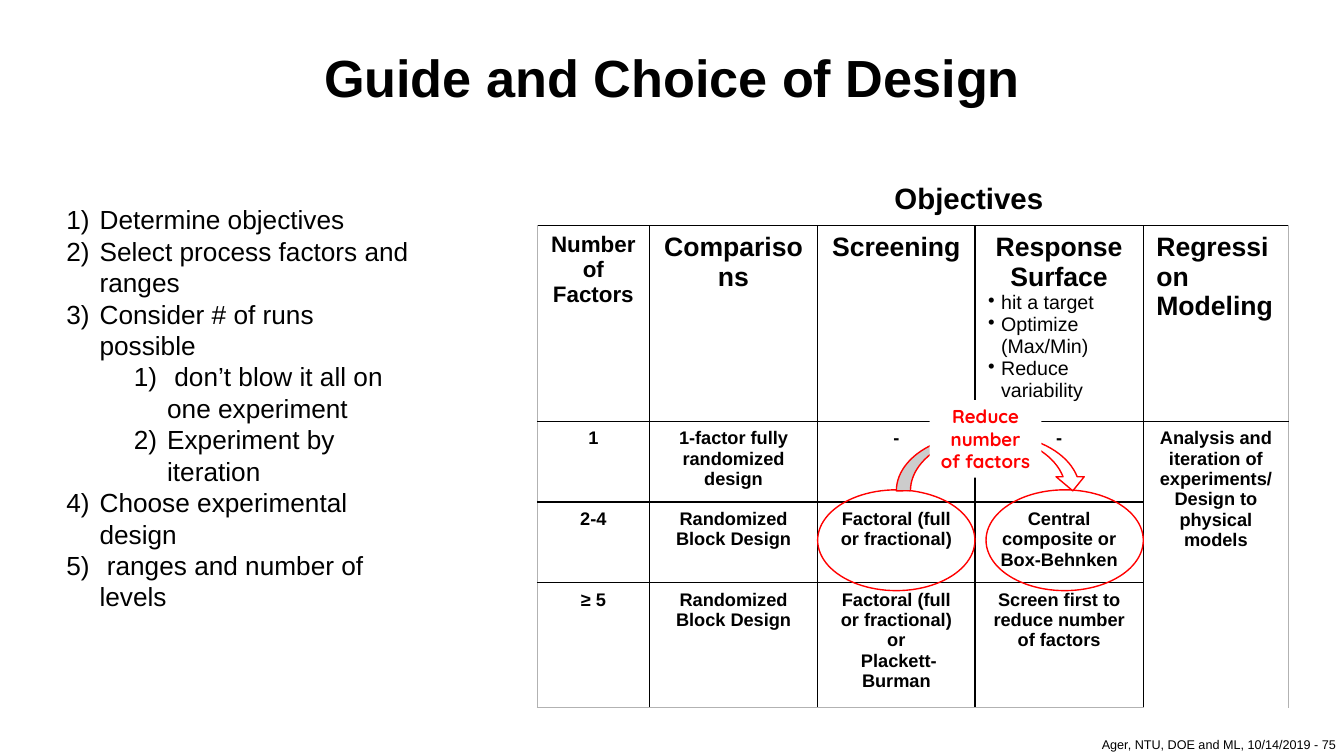
from dataclasses import dataclass

from lxml import etree
from pptx import Presentation
from pptx import util as u
from pptx.dml.color import RGBColor
from pptx.enum import shapes, text
from pptx.oxml import ns

Inches, Pt = u.Inches, u.Pt
CENTER, MIDDLE = text.PP_ALIGN.CENTER, text.MSO_ANCHOR.MIDDLE


@dataclass(frozen=True)
class Theme:
    font: str = "Arial"
    label_font: str = "Quicksand"
    black: str = "000000"
    white: str = "FFFFFF"
    red: str = "FF0000"
    grey: str = "B2B2B2"
    title: float = 37.3
    objectives: float = 21
    heading: float = 19
    steps: float = 18.7
    factors: float = 16
    detail: float = 14
    label: float = 13.3
    body: float = 13
    footer: float = 9


T = Theme()
PAD = (0.13, 0.07)

STEPS = [
    (0, "Determine objectives"),
    (0, "Select process factors and ranges"),
    (0, "Consider # of runs possible"),
    (1, " don’t blow it all on one experiment"),
    (1, "Experiment by iteration"),
    (0, "Choose experimental design"),
    (0, " ranges and number of levels"),
]
COLS = [1.11, 1.67, 1.56, 1.67, 1.44]
ROWS = [0.49, 1.92, 0.8, 0.8, 1.24]
HEADINGS = ["Number of Factors", "Comparisons", "Screening",
            "Response Surface", "Regression Modeling"]
RESPONSE_GOALS = ["hit a target", "Optimize (Max/Min)", "Reduce variability"]
DESIGNS = [
    ["1", "1-factor fully randomized design", "-", "-",
     "Analysis and iteration of experiments/ Design to physical models"],
    ["2-4", "Randomized Block Design", "Factoral (full or fractional)",
     "Central composite or Box-Behnken"],
    ["≥ 5", "Randomized Block Design",
     "Factoral (full or fractional)\nor\n Plackett-Burman",
     "Screen first to reduce number of factors"],
]


def rgb(color):
    return RGBColor.from_string(color)


def set_bullet(p, indent, hang, char=None, number=None):
    pPr = p._p.get_or_add_pPr()
    pPr.set("marL", str(Inches(indent)))
    pPr.set("indent", str(-Inches(hang)))
    if number:
        etree.SubElement(pPr, ns.qn("a:buAutoNum"), type=number)
    else:
        etree.SubElement(pPr, ns.qn("a:buChar"), char=char)


def add_text(tf, words, size=T.body, bold=False, color=T.black, font=T.font,
             align=None, spacing=None, level=0, **bullet):
    """Write each line of words as one paragraph, after any text already there."""
    for line in words.split("\n"):
        p = tf.add_paragraph() if tf.text else tf.paragraphs[0]
        p.level = level
        if align is not None:
            p.alignment = align
        if spacing:
            p.line_spacing = spacing
        if bullet:
            set_bullet(p, **bullet)
        r = p.add_run()
        r.text = line
        r.font.size, r.font.bold, r.font.name = Pt(size), bold, font
        r.font.color.rgb = rgb(color)


def add_box(s, x, y, w, h, wrap=True):
    tf = s.shapes.add_textbox(*map(Inches, (x, y, w, h))).text_frame
    tf.word_wrap = wrap
    return tf


def add_outline(group, kind, x, y, w, h, fill=None, line=T.red):
    sp = group.shapes.add_shape(kind, *map(Inches, (x, y, w, h)))
    sp.shadow.inherit = False
    if fill:
        sp.fill.solid()
        sp.fill.fore_color.rgb = rgb(fill)
    else:
        sp.fill.background()
    if line:
        sp.line.color.rgb = rgb(line)
        sp.line.width = Pt(1)
    else:
        sp.line.fill.background()
    return sp


def set_border(cell, side, color):
    ln = etree.SubElement(cell._tc.get_or_add_tcPr(), ns.qn(f"a:ln{side}"),
                          w=str(Pt(1)))
    if color:
        fill = etree.SubElement(ln, ns.qn("a:solidFill"))
        etree.SubElement(fill, ns.qn("a:srgbClr"), val=color)
    else:
        etree.SubElement(ln, ns.qn("a:noFill"))


def border_colors(row, col):
    """Black rules inside, grey around the edge, none beside the top caption."""
    last_row, last_col = len(ROWS) - 1, len(COLS) - 1
    colors = {
        "L": T.grey if col == 0 else T.black,
        "R": T.grey if col == last_col else T.black,
        "T": T.black,
        "B": T.grey if row == last_row else T.black,
    }
    if row == 0:
        colors.update(L=None, R=None, T=None)
    if col == last_col and row > 2:
        colors["T"] = None
    if col == last_col and 2 <= row < last_row:
        colors["B"] = None
    return colors


def add_design_table(s):
    table = s.shapes.add_table(len(ROWS), len(COLS), Inches(5.33), Inches(1.75),
                               Inches(sum(COLS)), Inches(sum(ROWS))).table
    table.first_row = table.horz_banding = False
    for column, width in zip(table.columns, COLS):
        column.width = Inches(width)
    for row, height in zip(table.rows, ROWS):
        row.height = Inches(height)
    for i in range(len(ROWS)):
        for j in range(len(COLS)):
            cell = table.cell(i, j)
            cell.margin_left = cell.margin_right = Inches(PAD[0])
            cell.margin_top = cell.margin_bottom = Inches(PAD[1])
            for side, color in border_colors(i, j).items():
                set_border(cell, side, color)
            cell.fill.background()
    table.cell(0, 1).merge(table.cell(0, 4))
    table.cell(2, 4).merge(table.cell(4, 4))

    # Caption and headings
    add_text(table.cell(0, 1).text_frame, "Objectives", size=T.objectives,
             bold=True, align=CENTER)
    for j, heading in enumerate(HEADINGS):
        add_text(table.cell(1, j).text_frame, heading, bold=True,
                 size=T.heading if j else T.factors,
                 align=CENTER if j < 4 else None)
    add_text(table.cell(1, 3).text_frame, "\n".join(RESPONSE_GOALS),
             size=T.detail, indent=0.13, hang=0.13, char="•")

    # Designs by number of factors
    for i, designs in enumerate(DESIGNS, start=2):
        for j, design in enumerate(designs):
            add_text(table.cell(i, j).text_frame, design, bold=True, align=CENTER)


def add_reduction_callout(s):
    group = s.shapes.add_group_shape()
    kinds = shapes.MSO_SHAPE
    for x in (8.11, 9.78):
        add_outline(group, kinds.OVAL, x, 4.86, 1.56, 1)
    add_outline(group, kinds.CURVED_DOWN_ARROW, 8.89, 4.31, 1.89, 0.56,
                fill=T.white)
    label = add_outline(group, kinds.RECTANGLE, 9.22, 3.97, 1.11, 0.77,
                        fill=T.white, line=None)
    tf = label.text_frame
    tf.word_wrap = True
    tf.vertical_anchor = text.MSO_ANCHOR.TOP
    add_text(tf, "Reduce number of factors", size=T.label, bold=True,
             color=T.red, font=T.label_font, align=CENTER)


def main():
    prs = Presentation()
    prs.slide_width, prs.slide_height = Inches(13.33), Inches(7.5)
    s = prs.slides.add_slide(prs.slide_layouts[6])

    # Footer and title
    add_text(add_box(s, 10.83, 7.26, 2.57, 0.25, wrap=False),
             "Ager, NTU, DOE and ML, 10/14/2019 - 75", size=T.footer)
    title = add_box(s, 0.92, 0.33, 11.5, 0.93)
    title.vertical_anchor = MIDDLE
    add_text(title, "Guide and Choice of Design", size=T.title, bold=True,
             align=CENTER, spacing=0.9)

    # Table of designs
    add_design_table(s)

    # Numbered steps
    steps = add_box(s, 0.56, 1.97, 3.67, 4.19)
    for level, step in STEPS:
        add_text(steps, step, size=T.steps, level=level,
                 indent=1 if level else 0.33, hang=0.33, number="arabicParenR")

    # Link from screening to response surface
    add_reduction_callout(s)
    prs.save("out.pptx")


if __name__ == "__main__":
    main()
